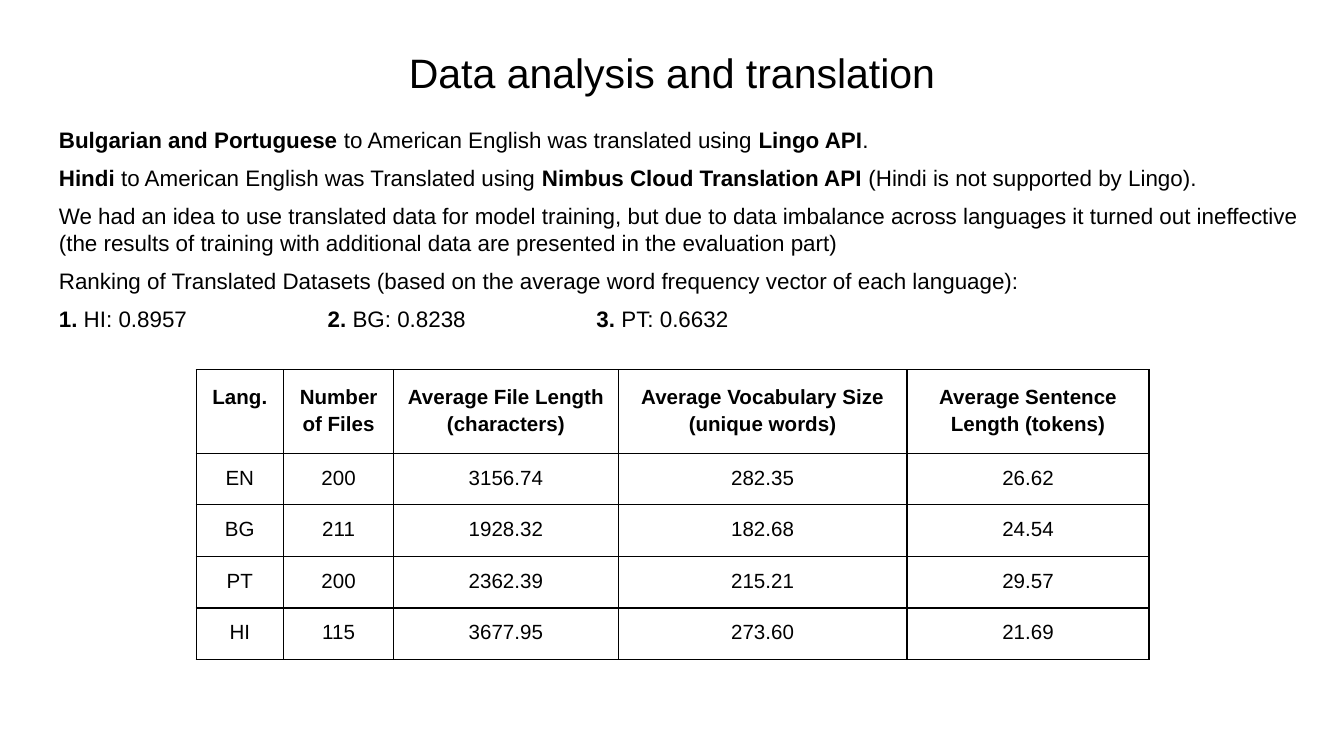
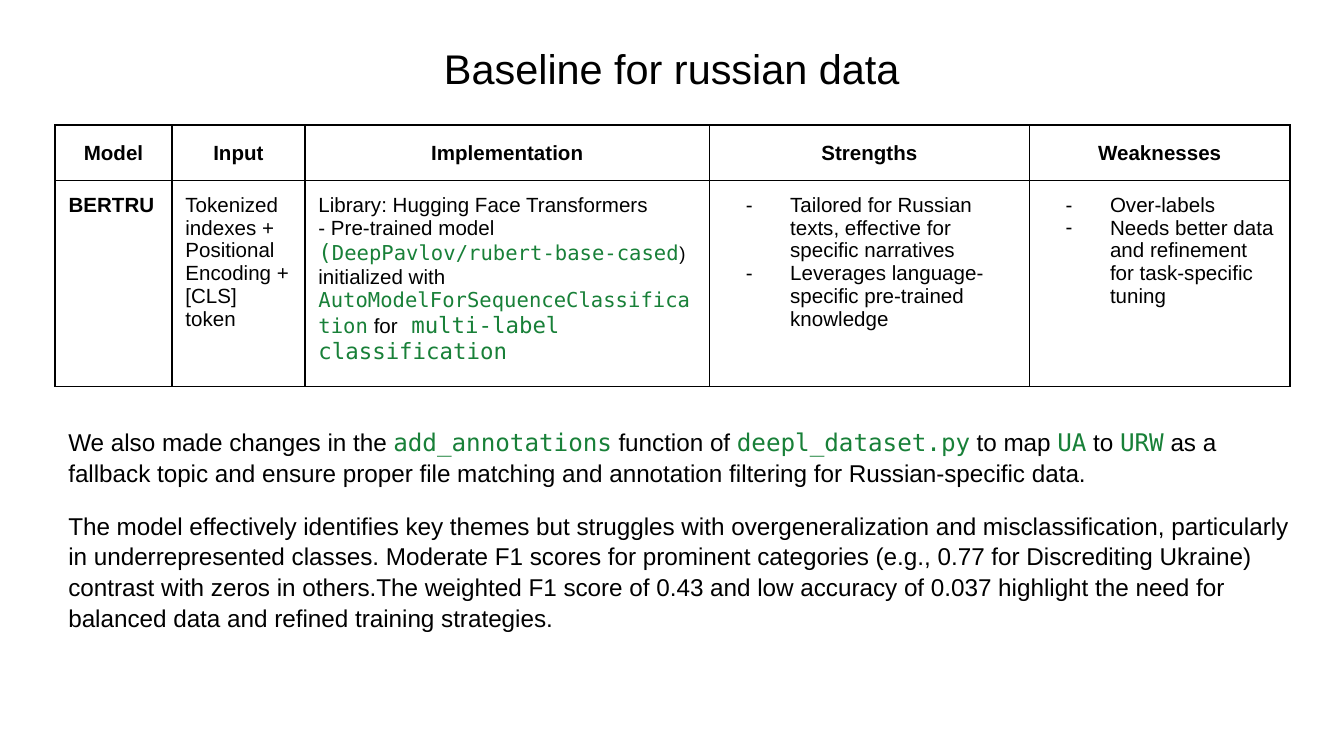
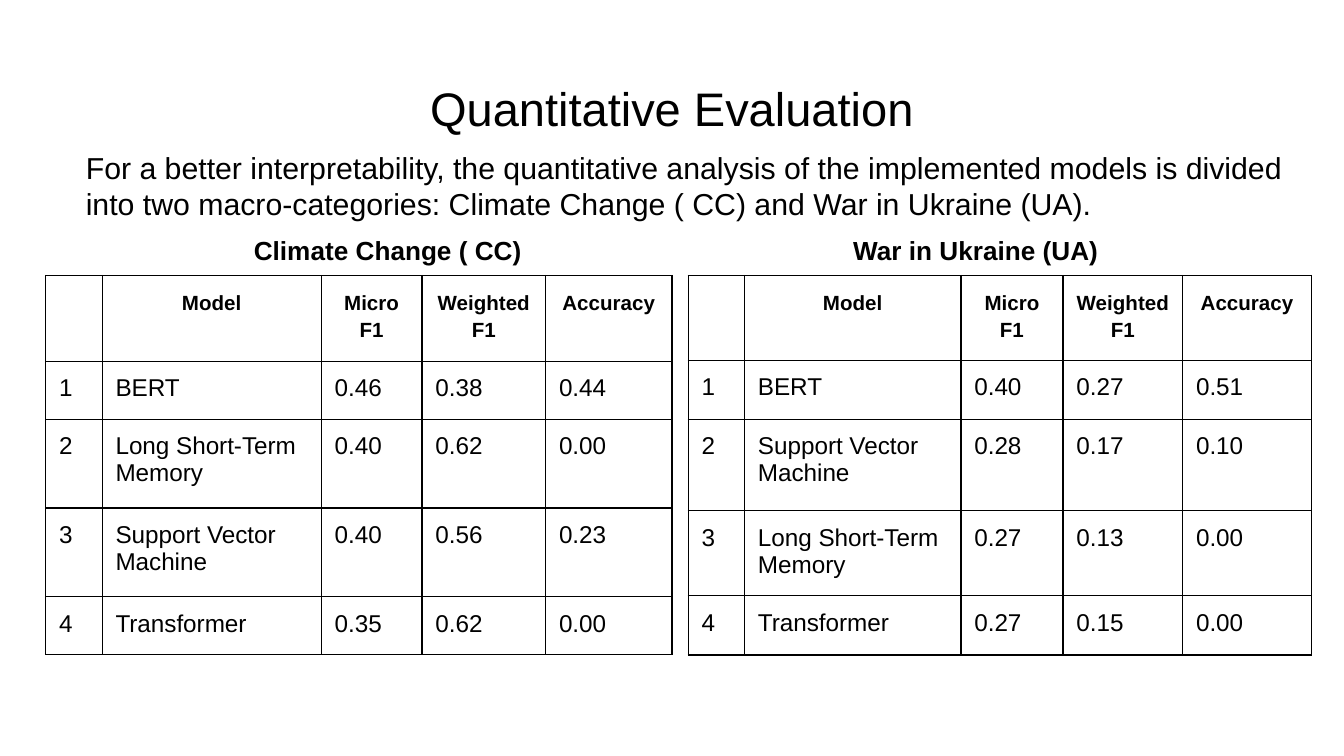
"""Build three slides on data translation, the Russian baseline and model evaluation."""
import pptx
import pptx.dml.color
import pptx.enum.text
import pptx.oxml
import pptx.oxml.ns
import pptx.util
from pptx.util import Inches

COLORS = {"text": "000000", "code": "188038", "border": "000000", "page": "FFFFFF"}
FONTS = {"text": "Arial", "code": "DejaVu Sans Mono"}
CENTER = pptx.enum.text.PP_ALIGN.CENTER
LEFT = pptx.enum.text.PP_ALIGN.LEFT
MARGIN = Inches(0.1)
FRAME_SIDE = Inches(3.28)
SCORE_HEADS = ["", "Model", "Micro F1", "Weighted F1", "Accuracy"]


def rgb(name):
    return pptx.dml.color.RGBColor.from_string(COLORS[name])


def make_xml(tag, content="", **attributes):
    listed = " ".join(f'{key}="{value}"' for key, value in attributes.items())
    namespace = pptx.oxml.ns.nsdecls("a")
    return pptx.oxml.parse_xml(f"<a:{tag} {namespace} {listed}>{content}</a:{tag}>")


def bold(text):
    return text, "bold", None


def code(text, size=None):
    return text, "code", size


def write_spans(para, spans, size):
    """Write plain strings and (text, kind, size) spans into a paragraph."""
    if isinstance(spans, str):
        spans = [spans]
    for item in spans:
        text, kind, own_size = (item, "text", None) if isinstance(item, str) else item
        span = para.add_run()
        span.text = text
        look = "code" if kind == "code" else "text"
        span.font.name = FONTS[look]
        span.font.color.rgb = rgb(look)
        span.font.size = pptx.util.Pt(own_size or size)
        span.font.bold = kind == "bold"


def write_paras(frame, paras, size, align=LEFT, spacing=None, before=0):
    """Fill a text frame with paragraphs and return them."""
    written = []
    for index, spans in enumerate(paras):
        para = frame.add_paragraph() if index else frame.paragraphs[0]
        para.alignment = align
        para.line_spacing = spacing
        para.space_before = pptx.util.Pt(before if index else 0)
        write_spans(para, spans, size)
        written.append(para)
    return written


def add_text(page, left, top, width, height, paras, size, **layout):
    box = page.shapes.add_textbox(*map(Inches, (left, top, width, height)))
    frame = box.text_frame
    frame.word_wrap = True
    frame.vertical_anchor = pptx.enum.text.MSO_ANCHOR.TOP
    frame.margin_left = frame.margin_right = MARGIN
    frame.margin_top = frame.margin_bottom = MARGIN
    return write_paras(frame, paras, size, **layout)


def add_page(deck, title, top, size):
    page = deck.slides.add_slide(deck.slide_layouts[6])
    page.background.fill.solid()
    page.background.fill.fore_color.rgb = rgb("page")
    add_text(page, 0.34, top, 9.32, 0.63, [title], size, align=CENTER)
    return page


def style_cell(cell):
    """Give a cell equal margins, no fill and a thin border on each side."""
    cell.margin_left = cell.margin_right = MARGIN
    cell.margin_top = cell.margin_bottom = MARGIN
    properties = cell._tc.get_or_add_tcPr()
    for side in ("lnL", "lnR", "lnT", "lnB"):
        color = f'<a:solidFill><a:srgbClr val="{COLORS["border"]}"/></a:solidFill>'
        properties.append(make_xml(side, color, w=pptx.util.Pt(0.75)))
    cell.fill.background()


def add_grid(page, left, top, widths, heights, heads, rows, size, align=LEFT):
    """Add a bordered table; a list in a cell holds one entry per paragraph."""
    holder = page.shapes.add_table(len(heights), len(widths), Inches(left), Inches(top),
                                   FRAME_SIDE, FRAME_SIDE)
    grid = holder.table
    grid.horz_banding = False
    for column, width in zip(grid.columns, widths):
        column.width = Inches(width)
    for row, height in zip(grid.rows, heights):
        row.height = Inches(height)
    holder.width = holder.height = FRAME_SIDE
    for row_index, values in enumerate([heads] + rows):
        for column_index, value in enumerate(values):
            cell = grid.cell(row_index, column_index)
            style_cell(cell)
            if not value:
                continue
            if row_index == 0:
                write_paras(cell.text_frame, [[bold(value)]], 11, CENTER, 1.15)
            else:
                paras = value if isinstance(value, list) else [value]
                write_paras(cell.text_frame, paras, size, align)
    return grid


def add_dashes(cell):
    for para in cell.text_frame.paragraphs:
        properties = para._p.get_or_add_pPr()
        properties.set("marL", str(Inches(0.5)))
        properties.set("indent", str(Inches(-0.33)))
        color = f'<a:srgbClr val="{COLORS["text"]}"/>'
        properties.append(make_xml("buClr", color))
        properties.append(make_xml("buFont", typeface=FONTS["text"]))
        properties.append(make_xml("buChar", char="-"))


def add_tab_stops(para, stops):
    tabs = "".join(f'<a:tab pos="{Inches(stop)}" algn="l"/>' for stop in stops)
    para._p.get_or_add_pPr().append(make_xml("tabLst", tabs))


def build_translation(deck):
    page = add_page(deck, "Data analysis and translation", 0.25, 22)
    paras = [
        [bold("Bulgarian and Portuguese "), "to American English was translated using ",
         bold("Lingo API"), "."],
        [bold("Hindi "), "to American English was Translated using ",
         bold("Nimbus Cloud Translation API"), " (Hindi is not supported by Lingo)."],
        "We had an idea to use translated data for model training, but due to data "
        "imbalance across languages it turned out ineffective (the results of training "
        "with additional data are presented in the evaluation part)",
        "Ranking of Translated Datasets (based on the average word frequency vector "
        "of each language):",
        [bold("1."), " HI: 0.8957 \t", bold("2."), " BG: 0.8238 \t", bold("3."), " PT: 0.6632"],
    ]
    written = add_text(page, 0.34, 0.84, 9.47, 3.74, paras, 12, before=6)
    add_tab_stops(written[-1], [2, 4])
    heads = ["Lang.", "Number of Files", "Average File Length (characters)",
             "Average Vocabulary Size (unique words)", "Average Sentence Length (tokens)"]
    rows = [
        ["EN", "200", "3156.74", "282.35", "26.62"],
        ["BG", "211", "1928.32", "182.68", "24.54"],
        ["PT", "200", "2362.39", "215.21", "29.57"],
        ["HI", "115", "3677.95", "273.60", "21.69"],
    ]
    add_grid(page, 1.46, 2.75, [0.65, 0.82, 1.67, 2.15, 1.8], [0.49] + [0.34] * 4,
             heads, rows, 11, CENTER)


def build_baseline(deck):
    page = add_page(deck, "Baseline for russian data", 0.22, 22.2)
    paras = [
        ["We also made changes in the ", code("add_annotations"), " function of ",
         code("deepl_dataset.py"), " to map ", code("UA"), " to ", code("URW"),
         " as a fallback topic and ensure proper file matching and annotation filtering "
         "for Russian-specific data."],
        "The model effectively identifies key themes but struggles with overgeneralization "
        "and misclassification, particularly in underrepresented classes. Moderate F1 scores "
        "for prominent categories (e.g., 0.77 for Discrediting Ukraine) contrast with zeros "
        "in others.The weighted F1 score of 0.43 and low accuracy of 0.037 highlight the need "
        "for balanced data and refined training strategies.",
    ]
    add_text(page, 0.41, 3.07, 9.32, 2.32, paras, 13, spacing=1.05, before=12)
    implementation = [
        "Library: Hugging Face Transformers",
        ["- Pre-trained model ", code("(", 12), code("DeepPavlov/rubert-base-cased"),
         (")", "text", 10), " initialized with ",
         code("AutoModelForSequenceClassification"), " for",
         code(" multi-label classification", 12)],
    ]
    strengths = ["Tailored for Russian texts, effective for specific narratives",
                 "Leverages language-specific pre-trained knowledge"]
    weaknesses = ["Over-labels", "Needs better data and refinement for task-specific tuning"]
    model_row = [[[bold("BERTRU")]], "Tokenized indexes + Positional Encoding + [CLS] token",
                 implementation, strengths, weaknesses]
    grid = add_grid(page, 0.41, 0.93, [0.87, 0.99, 3.01, 2.38, 1.94], [0.36, 1.33],
                    ["Model", "Input", "Implementation", "Strengths", "Weaknesses"],
                    [model_row], 11)
    for column in (3, 4):
        add_dashes(grid.cell(1, column))


def build_evaluation(deck):
    page = add_page(deck, "Quantitative Evaluation", 0.49, 25.2)
    climate = [
        ["1", "BERT", "0.46", "0.38", "0.44"],
        ["2", "Long Short-Term Memory", "0.40", "0.62", "0.00"],
        ["3", "Support Vector Machine", "0.40", "0.56", "0.23"],
        ["4", "Transformer", "0.35", "0.62", "0.00"],
    ]
    war = [
        ["1", "BERT", "0.40", "0.27", "0.51"],
        ["2", "Support Vector Machine", "0.28", "0.17", "0.10"],
        ["3", "Long Short-Term Memory", "0.27", "0.13", "0.00"],
        ["4", "Transformer", "0.27", "0.15", "0.00"],
    ]
    add_grid(page, 0.34, 2.05, [0.42, 1.63, 0.75, 0.92, 0.94],
             [0.64, 0.43, 0.66, 0.66, 0.43], SCORE_HEADS, climate, 13)
    intro = ("For a better interpretability, the quantitative analysis of the implemented models "
             "is divided into two macro-categories: Climate Change ( CC) and War in Ukraine (UA).")
    add_text(page, 0.54, 1.01, 9.32, 0.63, [intro], 16.2)
    add_grid(page, 5.12, 2.05, [0.42, 1.61, 0.76, 0.89, 0.96],
             [0.63, 0.44, 0.68, 0.44, 0.44], SCORE_HEADS, war, 13)
    for left, width, caption in ((1.79, 2.48, "Climate Change ( CC)"),
                                 (6.25, 2.24, "War in Ukraine (UA)")):
        add_text(page, left, 1.64, width, 0.32, [[bold(caption)]], 14)


def main():
    deck = pptx.Presentation()
    deck.slide_width = Inches(10)
    deck.slide_height = deck.slide_width * 9 // 16
    build_translation(deck)
    build_baseline(deck)
    build_evaluation(deck)
    deck.save("out.pptx")


if __name__ == "__main__":
    main()
